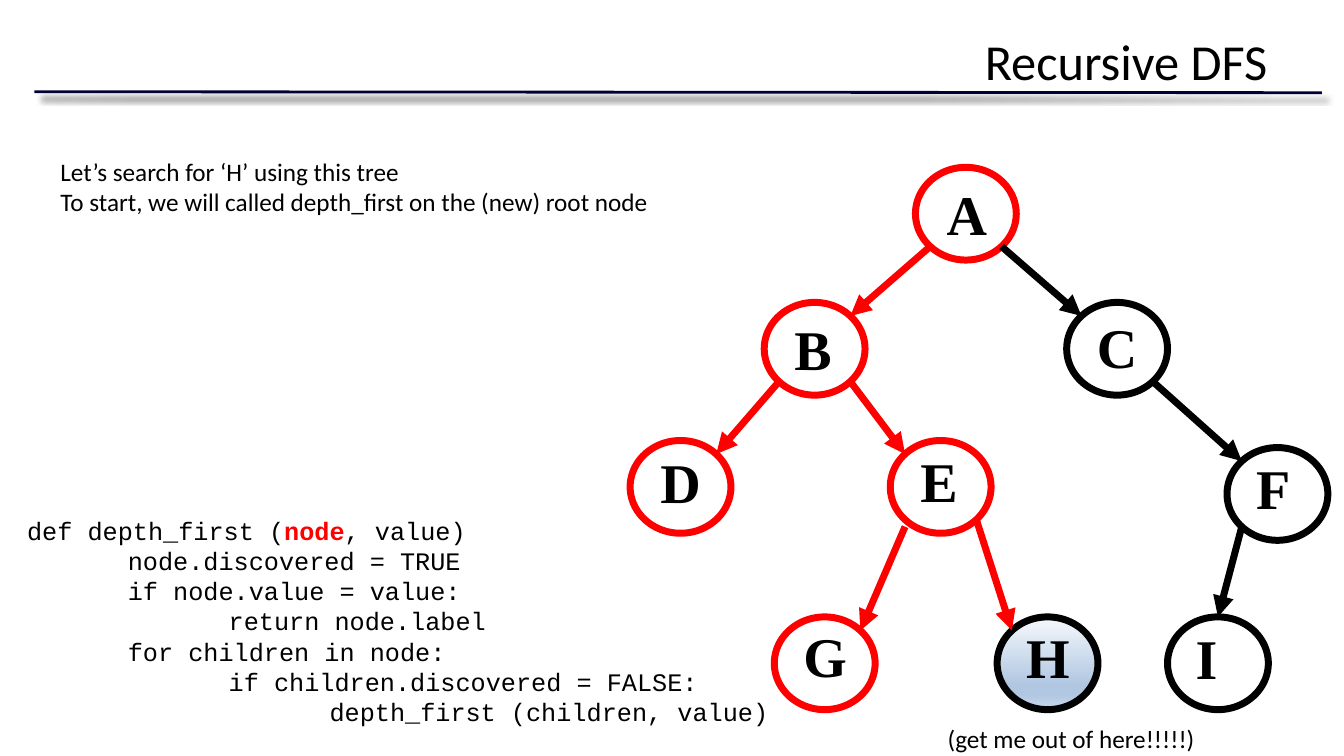
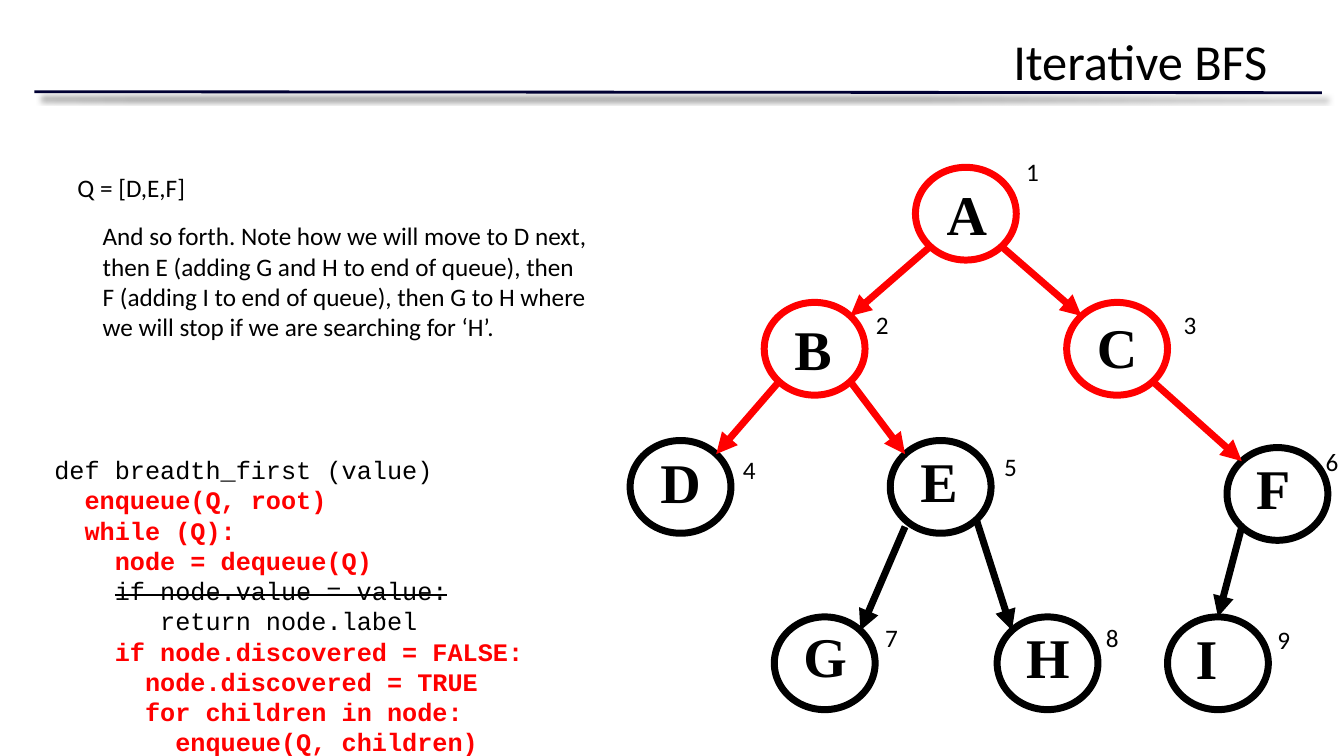
import math
from dataclasses import dataclass

from pptx import Presentation
from pptx.dml.color import RGBColor
from pptx.enum.shapes import MSO_CONNECTOR, MSO_SHAPE
from pptx.enum.text import MSO_ANCHOR, MSO_AUTO_SIZE, PP_ALIGN
from pptx.oxml import parse_xml
from pptx.oxml.ns import nsdecls, qn
from pptx.util import Inches, Pt

LINE = MSO_CONNECTOR.STRAIGHT
OVAL = MSO_SHAPE.OVAL
TOP = MSO_ANCHOR.TOP
GROW, FIXED = MSO_AUTO_SIZE.SHAPE_TO_FIT_TEXT, MSO_AUTO_SIZE.NONE
LEFT, RIGHT = PP_ALIGN.LEFT, PP_ALIGN.RIGHT


@dataclass(frozen=True)
class Theme:
    black: str = "000000"
    red: str = "FF0000"
    rule: str = "000033"
    goal: tuple = ((0, "F6F9FC"), (74, "B0C6E1"), (83, "B0C6E1"), (100, "CAD9EB"))
    body_font: str = "Calibri"
    code_font: str = "Courier New"
    node_font: str = "Times New Roman"
    title_size: float = 36
    node_size: float = 40
    body_size: float = 18
    code_leading: float = 21.6
    rule_width: float = 2
    tree_width: float = 5


T = Theme()

# Tree geometry: node left, top; letter left, top, width
NODE_W, NODE_H = 1, 0.92
NODES = {
    "A": (9.08, 1.66, 9.29, 1.73, 0.61),
    "B": (7.58, 3, 7.78, 3.07, 0.58),
    "C": (10.58, 3, 10.78, 3.05, 0.61),
    "D": (6.25, 4.37, 6.45, 4.39, 0.61),
    "E": (8.83, 4.37, 9.03, 4.38, 0.58),
    "G": (7.68, 6.12, 7.87, 6.12, 0.64),
    "H": (9.89, 6.12, 10.08, 6.13, 0.64),
    "F": (12.17, 4.44, 12.36, 4.45, 0.54),
    "I": (11.58, 6.12, 11.76, 6.14, 0.42),
}
# Parent, child, angle on each oval (clockwise from the right), drop of the start
EDGES = [
    ("A", "B", 135, -45, 0),
    ("B", "D", 135, -45, 0),
    ("B", "E", 45, -135, 0),
    ("E", "G", 135, -45, 0.07),
    ("E", "H", 45, -135, 0),
    ("A", "C", 45, -135, 0),
    ("C", "F", 45, -135, 0),
    ("F", "I", 135, -90, 0),
]
# Visiting order and where each number stands
ORDER = [(10.08, 1.5), (8.59, 3.02), (11.64, 3.02), (7.27, 4.46), (9.86, 4.43),
         (13.05, 4.38), (8.68, 6.12), (10.87, 6.12), (12.57, 6.14)]

HOT = dict(color=T.red, bold=True)
# Paragraphs are lists of (text, format); the level is a one-inch indent
DFS_CODE = [
    (0, [("def depth_first (", {}), ("node", HOT), (", value)", {})]),
    (1, [("node.discovered = TRUE", {})]),
    (1, [("if node.value = value:", {})]),
    (2, [("return node.label", {})]),
    (1, [("for children in node:", {})]),
    (2, [("if children.discovered = FALSE:", {})]),
    (3, [("depth_first (children, value)", {})]),
]
BFS_CODE = [
    (0, [("def breadth_first (value)", {})]),
    (0, [("  enqueue(Q, root)", HOT)]),
    (0, [("  while (Q):", HOT)]),
    (0, [("    node = dequeue(Q)", HOT)]),
    (0, [("    ", {}), ("if node.value = value:", dict(strike=True))]),
    (0, [("       return node.label", {})]),
    (0, [("    if node.discovered = FALSE:", HOT)]),
    (0, [("      node.discovered = TRUE", HOT)]),
    (0, [("      for children in node:", HOT)]),
    (0, [("        enqueue(Q, children)", HOT)]),
]


def add_run(p, text, font=T.body_font, size=T.body_size, color=T.black,
            bold=False, strike=False):
    r = p.add_run()
    r.text = text
    r.font.name = font
    r.font.size = Pt(size)
    r.font.bold = bold
    r.font.color.rgb = RGBColor.from_string(color)
    if strike:
        r.font._element.set("strike", "sngStrike")
    return r


def oval_point(label, degrees):
    """Point on a node's outline."""
    x, y = NODES[label][:2]
    a = math.radians(degrees)
    return (x + NODE_W / 2 * (1 + math.cos(a)), y + NODE_H / 2 * (1 + math.sin(a)))


class Deck:
    def __init__(self):
        self.prs = Presentation()
        self.prs.slide_width, self.prs.slide_height = Inches(13.33), Inches(7.5)
        self.s = None

    def slide(self, title):
        self.s = self.prs.slides.add_slide(self.prs.slide_layouts[6])
        self.header_rule()
        self.text(0.67, 0.25, 12, 1.25, [title], align=RIGHT, wrap=True,
                  size=T.title_size)

    def line(self, start, end, color, width):
        c = self.s.shapes.add_connector(LINE, *(Inches(v) for v in (*start, *end)))
        c.line.color.rgb = RGBColor.from_string(color)
        c.line.width = Pt(width)
        effects = parse_xml(f"<a:effectLst {nsdecls('a')}/>")
        c._element.spPr.append(effects)
        return c, effects

    def header_rule(self):
        _, effects = self.line((0.34, 0.91), (13.11, 0.92), T.rule, T.rule_width)
        effects.append(parse_xml(
            f'<a:outerShdw {nsdecls("a")} blurRad="{Pt(4)}" dist="{Pt(6)}" '
            f'dir="2700000" algn="ctr" rotWithShape="0"><a:srgbClr val="{T.black}">'
            '<a:alpha val="50000"/></a:srgbClr></a:outerShdw>'))

    def arrow(self, start, end, color):
        c, _ = self.line(start, end, color, T.tree_width)
        c.line._get_or_add_ln().append(
            parse_xml(f'<a:tailEnd {nsdecls("a")} type="triangle"/>'))

    def frame(self, x, y, w, h, wrap):
        tf = self.s.shapes.add_textbox(*(Inches(v) for v in (x, y, w, h))).text_frame
        tf.word_wrap = wrap
        tf.auto_size = FIXED if wrap else GROW
        tf.vertical_anchor = TOP
        return tf

    def text(self, x, y, w, h, lines, align=LEFT, wrap=False, **fmt):
        tf = self.frame(x, y, w, h, wrap)
        for i, line in enumerate(lines):
            p = tf.add_paragraph() if i else tf.paragraphs[0]
            p.alignment = align
            add_run(p, line, **fmt)

    def code(self, x, y, lines):
        tf = self.frame(x, y, 10.67, 2.09, wrap=True)
        for i, (level, runs) in enumerate(lines):
            p = tf.add_paragraph() if i else tf.paragraphs[0]
            p.line_spacing = Pt(T.code_leading)
            p._p.get_or_add_pPr().set("marL", str(Inches(level)))
            for text, fmt in runs:
                add_run(p, text, font=T.code_font, **fmt)

    def node(self, label, color, goal=False):
        x, y = NODES[label][:2]
        sp = self.s.shapes.add_shape(OVAL, *(Inches(v) for v in (x, y, NODE_W, NODE_H)))
        sp.shadow.inherit = False
        sp.line.color.rgb = RGBColor.from_string(color)
        sp.line.width = Pt(T.tree_width)
        if goal:
            self.shade(sp)
        else:
            sp.fill.background()

    def shade(self, sp):
        sp.fill.gradient()
        sp.fill.gradient_angle = 270
        stops = sp._element.spPr.find(qn("a:gradFill")).find(qn("a:gsLst"))
        for gs in list(stops):
            stops.remove(gs)
        for pos, color in T.goal:
            stops.append(parse_xml(f'<a:gs {nsdecls("a")} pos="{pos * 1000}">'
                                   f'<a:srgbClr val="{color}"/></a:gs>'))

    def tree(self, red_nodes, red_edges, goal=None):
        """Draw the tree; an edge is named by its child."""
        for label in NODES:
            self.node(label, T.red if label in red_nodes else T.black, label == goal)
        for label, (_, _, x, y, w) in NODES.items():
            self.text(x, y, w, 0.77, [label], font=T.node_font, size=T.node_size,
                      bold=True)
        for parent, child, out, into, drop in EDGES:
            x, y = oval_point(parent, out)
            self.arrow((x, y + drop), oval_point(child, into),
                       T.red if child in red_edges else T.black)


def main():
    d = Deck()

    # Depth-first search
    d.slide("Recursive DFS")
    d.code(0.17, 5.06, DFS_CODE)
    d.tree("ABDEG", "BDEGH", goal="H")
    d.text(0.5, 1.5, 6.1, 0.7, [
        "Let’s search for ‘H’ using this tree",
        "To start, we will called depth_first on the (new) root node"])
    d.text(9.3, 7.13, 2.69, 0.4, ["(get me out of here!!!!!)"])

    # Breadth-first search
    d.slide("Iterative BFS")
    d.tree("ABC", "BCDEF")
    d.code(0.44, 4.46, BFS_CODE)
    d.text(0.67, 1.66, 1.28, 0.4, ["Q = [D,E,F]"])
    d.text(0.92, 2.14, 5, 1.83, [
        "And so forth. Note how we will move to D next, then E (adding G and H to end "
        "of queue), then F (adding I to end of queue), then G to H where we will stop "
        "if we are searching for ‘H’."], wrap=True)
    for number, (x, y) in enumerate(ORDER, 1):
        d.text(x, y, 0.33, 0.4, [str(number)])

    d.prs.save("out.pptx")


if __name__ == "__main__":
    main()
